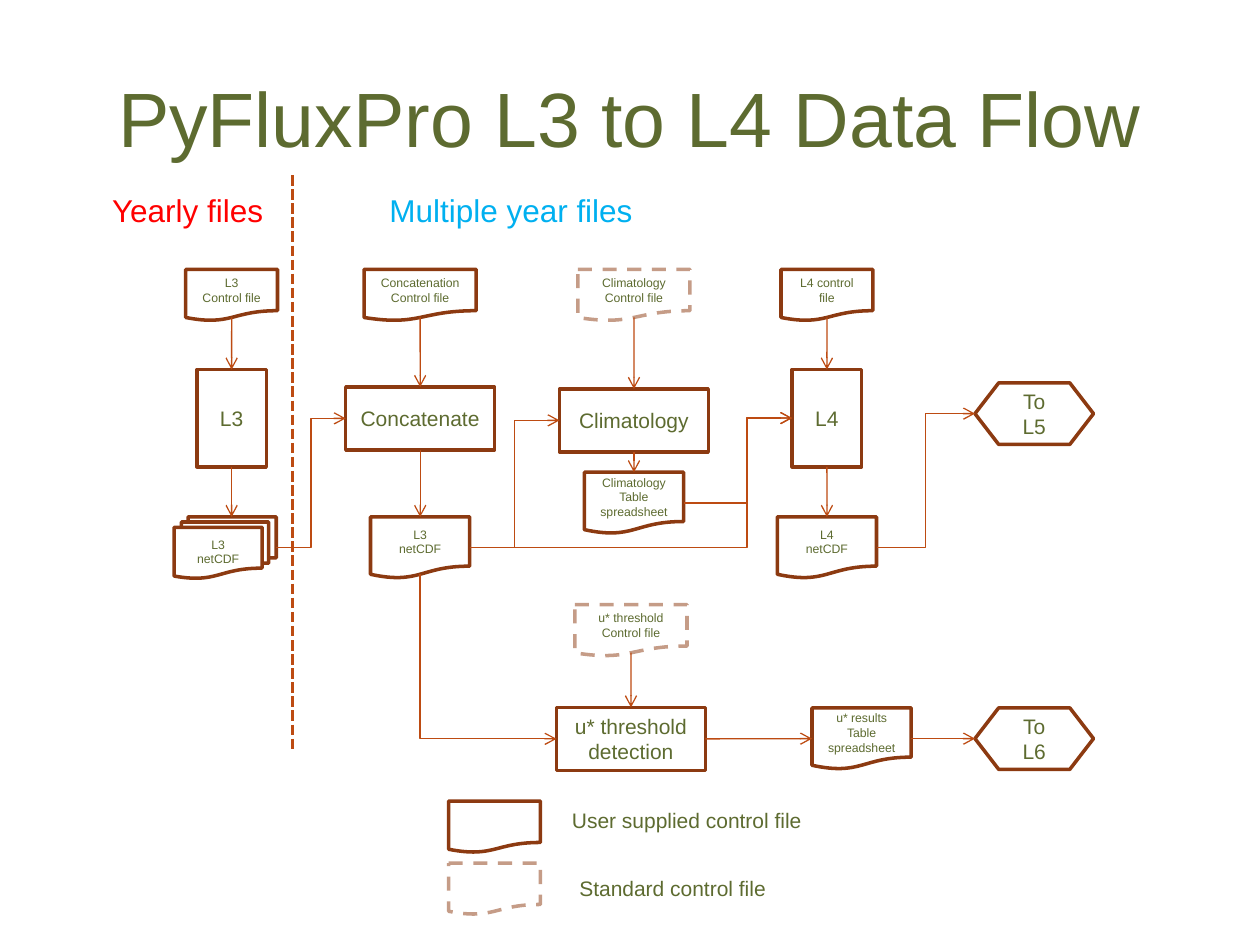
from lxml.etree import SubElement
from pptx import Presentation
from pptx.dml.color import RGBColor
from pptx.enum.dml import MSO_LINE
from pptx.enum.shapes import MSO_CONNECTOR as Link, MSO_SHAPE as Shape
from pptx.enum.text import MSO_ANCHOR, PP_ALIGN
from pptx.oxml.ns import qn
from pptx.util import Cm, Pt

OLIVE, BROWN, RUST = "5D6B30", "8C3A11", "BD4B12"
RED, BLUE = "FF0000", "00B0F0"


def color(value):
    return RGBColor.from_string(value)


def write(frame, text, size, ink=OLIVE, align=PP_ALIGN.CENTER):
    for number, words in enumerate(text.split("\n")):
        para = frame.paragraphs[0] if number == 0 else frame.add_paragraph()
        para.text = words
        para.alignment = align
        para.font.name = "Arial"
        para.font.size = Pt(size)
        para.font.color.rgb = color(ink)


def add_box(page, kind, center, top, width, height, text="", size=7):
    box = page.shapes.add_shape(
        kind, Cm(center - width / 2), Cm(top), Cm(width), Cm(height))
    box.shadow.inherit = False
    box.fill.background()
    box.line.color.rgb = color(BROWN)
    box.line.width = Pt(2)
    box.text_frame.word_wrap = True
    box.text_frame.vertical_anchor = MSO_ANCHOR.MIDDLE
    if text:
        write(box.text_frame, text, size)
    return box


def add_process(page, center, top, text, width=3, height=1.27):
    return add_box(page, Shape.FLOWCHART_PROCESS, center, top, width, height, text, 12)


def add_control(page, center, top, text="", width=1.85, standard=False):
    box = add_box(page, Shape.FLOWCHART_DOCUMENT, center, top, width, 1.04, text)
    if standard:
        box.line.dash_style = MSO_LINE.DASH
        for tint in box._element.spPr.iter(qn("a:srgbClr")):
            SubElement(tint, qn("a:alpha")).set("val", "50000")
    return box


def add_data(page, center, top, text):
    return add_box(page, Shape.FLOWCHART_DOCUMENT, center, top, 2, 1.24, text)


def add_target(page, top, text):
    return add_box(page, Shape.FLOWCHART_PREPARATION, 20.85, top, 2.39, 1.24, text, 12)


def add_label(page, left, top, width, height, text, size, ink=OLIVE):
    box = page.shapes.add_textbox(Cm(left), Cm(top), Cm(width), Cm(height))
    box.text_frame.word_wrap = True
    write(box.text_frame, text, size, ink, PP_ALIGN.LEFT)


def add_line(page, kind, start, end, width=0.75, arrow=True):
    line = page.shapes.add_connector(kind, *start, *end)
    line.line.color.rgb = color(RUST)
    line.line.width = Pt(width)
    if arrow:
        outline = line._element.spPr.find(qn("a:ln"))
        SubElement(outline, qn("a:tailEnd")).set("type", "arrow")
    SubElement(line._element.spPr, qn("a:effectLst"))
    return line


def middle(box):
    return box.left + box.width // 2, box.top + box.height // 2


def bottom_edge(box):
    depth = 0.93 if box.auto_shape_type == Shape.FLOWCHART_DOCUMENT else 1
    return box.top + int(box.height * depth)


def drop(page, upper, lower):
    x = middle(upper)[0]
    line = add_line(page, Link.STRAIGHT, (x, bottom_edge(upper)), (x, lower.top))
    if upper.auto_shape_type == Shape.FLOWCHART_PROCESS:
        line.begin_connect(upper, 2)
    if lower.auto_shape_type != Shape.FLOWCHART_MULTIDOCUMENT:
        line.end_connect(lower, 0)


def across(page, source, target):
    line = add_line(page, Link.STRAIGHT, middle(source), middle(target))
    line.begin_connect(source, 3)
    line.end_connect(target, 1)


def step(page, source, target, bend=None):
    start = source.left + source.width, middle(source)[1]
    end = target.left, middle(target)[1]
    line = add_line(page, Link.ELBOW, start, end)
    if bend is not None:
        share = (Cm(bend) - start[0]) / (end[0] - start[0])
        guides = line._element.spPr.find(qn("a:prstGeom")).get_or_add_avLst()
        guide = SubElement(guides, qn("a:gd"))
        guide.set("name", "adj1")
        guide.set("fmla", f"val {round(share * 100000)}")


def turn_corner(page, source, target):
    x1, y1 = middle(source)[0], bottom_edge(source)
    x2, y2 = target.left, middle(target)[1]
    x, y = (x1 + x2) // 2, (y1 + y2) // 2
    half_width, half_height = (y2 - y1) // 2, (x2 - x1) // 2
    line = add_line(page, Link.ELBOW, (x + half_width, y - half_height),
                    (x - half_width, y + half_height))
    properties = line._element.spPr
    properties.find(qn("a:prstGeom")).set("prst", "bentConnector2")
    properties.find(qn("a:xfrm")).set("rot", "16200000")


def add_title(page, text):
    title = page.shapes.title
    title.left, title.top, title.width, title.height = Cm(1.27), Cm(0.76), Cm(22.86), Cm(3.18)
    title.text_frame.vertical_anchor = MSO_ANCHOR.MIDDLE
    write(title.text_frame, text, 44)


def add_main_flow(page):
    yearly_x, joined_x, climate_x, final_x = 4.67, 8.47, 12.78, 16.67
    control_top, tall_top, data_top = 5.43, 7.45, 10.42

    l3_control = add_control(page, yearly_x, control_top, "L3\nControl file")
    l3 = add_process(page, yearly_x, tall_top, "L3", 1.4, 1.96)
    l3_files = add_box(page, Shape.FLOWCHART_MULTIDOCUMENT, 4.54, data_top, 2.06, 1.24, "L3\nnetCDF")

    join_control = add_control(page, joined_x, control_top, "Concatenation\nControl file", 2.26)
    join = add_process(page, joined_x, 7.8, "Concatenate")
    joined = add_data(page, joined_x, data_top, "L3\nnetCDF")

    climate_control = add_control(
        page, climate_x, control_top, "Climatology\nControl file", 2.26, True)
    climate = add_process(page, climate_x, 7.84, "Climatology")
    climate_sheet = add_data(page, climate_x, 9.52, "Climatology Table spreadsheet")

    l4_control = add_control(page, final_x, control_top, "L4 control file")
    l4 = add_process(page, final_x, tall_top, "L4", 1.4, 1.96)
    l4_data = add_data(page, final_x, data_top, "L4\nnetCDF")

    columns = ((l3_control, l3, l3_files), (join_control, join, joined),
               (climate_control, climate, climate_sheet), (l4_control, l4, l4_data))
    for control, process, data in columns:
        drop(page, control, process)
        drop(page, process, data)
    step(page, l3_files, join)
    step(page, joined, climate)
    for source in (joined, climate_sheet):
        step(page, source, l4, 15.06)
    step(page, l4_data, add_target(page, 7.72, "To L5"))
    return joined


def add_threshold_flow(page, joined):
    control = add_control(page, 12.72, 12.19, "u* threshold\nControl file", 2.26, True)
    detection = add_process(page, 12.72, 14.26, "u* threshold\ndetection")
    results = add_data(page, 17.37, 14.27, "u* results Table spreadsheet")
    drop(page, control, detection)
    turn_corner(page, joined, detection)
    across(page, detection, results)
    across(page, results, add_target(page, 14.27, "To L6"))


def add_legend(page):
    add_control(page, 9.97, 16.15)
    add_control(page, 9.97, 17.4, standard=True)
    add_label(page, 11.28, 16.15, 5.38, 0.76, "User supplied control file", 12)
    add_label(page, 11.43, 17.53, 4.29, 0.76, "Standard control file", 12)


def main():
    deck = Presentation()
    deck.slide_width, deck.slide_height = Cm(25.4), Cm(19.05)
    page = deck.slides.add_slide(deck.slide_layouts[5])
    add_title(page, "PyFluxPro L3 to L4 Data Flow")
    joined = add_main_flow(page)
    add_threshold_flow(page, joined)
    add_legend(page)
    divider = add_line(
        page, Link.STRAIGHT, (Cm(5.9), Cm(3.53)), (Cm(5.9), Cm(15.11)), 2, False)
    divider.line.dash_style = MSO_LINE.SQUARE_DOT
    add_label(page, 2.01, 3.73, 3.58, 1.02, "Yearly files", 18, RED)
    add_label(page, 7.6, 3.73, 5.87, 1.02, "Multiple year files", 18, BLUE)
    deck.save("out.pptx")


if __name__ == "__main__":
    main()
